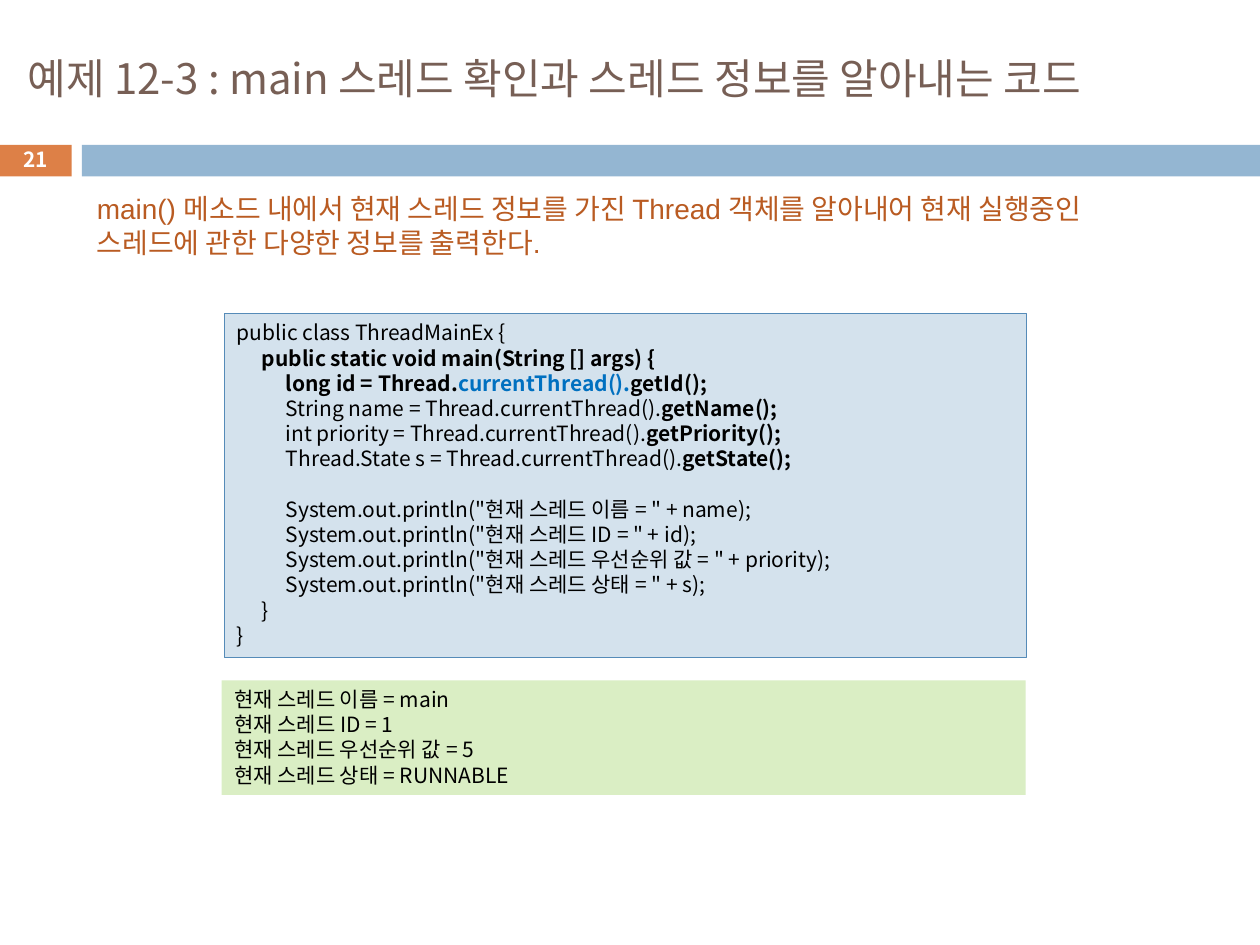
from lxml.etree import SubElement
from pptx import Presentation
from pptx.dml.color import RGBColor
from pptx.enum.shapes import MSO_SHAPE
from pptx.enum.text import MSO_ANCHOR, PP_ALIGN
from pptx.oxml.ns import qn
from pptx.util import Inches, Pt

KOREAN_FONT = "Noto Sans CJK KR"
COLUMNS, ROWS = 100, 75
CELL = Inches(10) // COLUMNS
TAB_STOPS = (0.2, 0.39)

TITLE = "예제 12-3 : main 스레드 확인과 스레드 정보를 알아내는 코드"
DESCRIPTION = ("main() 메소드 내에서 현재 스레드 정보를 가진 Thread 객체를 알아내어 "
               "현재 실행중인 스레드에 관한 다양한 정보를 출력한다.")
BOLD = {"bold": True}
CODE = [
    ["public class ThreadMainEx {"],
    [("\tpublic static void main(String [] args) {", BOLD)],
    [("\t\tlong id = Thread.", BOLD),
     ("currentThread().", {"bold": True, "color": "0070C0"}),
     ("getId();", BOLD)],
    ["\t\tString name = Thread.currentThread().", ("getName();", BOLD)],
    ["\t\tint priority = Thread.currentThread().", ("getPriority();", BOLD)],
    ["\t\tThread.State s = Thread.currentThread().", ("getState();", BOLD)],
    [],
    ['\t\tSystem.out.println("현재 스레드 이름 = " + name);'],
    ['\t\tSystem.out.println("현재 스레드 ID = " + id);'],
    ['\t\tSystem.out.println("현재 스레드 우선순위 값 = " + priority);'],
    ['\t\tSystem.out.println("현재 스레드 상태 = " + s);'],
    ["\t}"],
    ["}"],
]
OUTPUT = [
    ["현재 스레드 이름 = main"],
    ["현재 스레드 ID = 1"],
    ["현재 스레드 우선순위 값 = 5"],
    ["현재 스레드 상태 = RUNNABLE"],
]


def rgb(color):
    """Turn a hex string into a colour."""
    return RGBColor.from_string(color)


def place(box, left, top, width, height):
    """Return the slide position of a part given in grid cells of a box."""
    cells = (box[0] + left, box[1] + top, width, height)
    return [round(cell * CELL) for cell in cells]


def add_panel(slide, position, fill, line=None):
    """Add a flat rectangle."""
    shape = slide.shapes.add_shape(MSO_SHAPE.RECTANGLE, *position)
    shape.shadow.inherit = False
    shape.fill.solid()
    shape.fill.fore_color.rgb = rgb(fill)
    if line:
        shape.line.color.rgb = rgb(line)
        shape.line.width = Pt(0.75)
    else:
        shape.line.fill.background()
    return shape


def add_run(paragraph, text, size=12, color="000000", bold=False, font=KOREAN_FONT):
    """Add one formatted run to a paragraph."""
    run = paragraph.add_run()
    run.text = text
    run.font.size = Pt(size)
    run.font.bold = bold
    run.font.name = font
    run.font.color.rgb = rgb(color)
    east_asian = SubElement(run.font._element, qn("a:ea"))
    east_asian.set("typeface", KOREAN_FONT)


def write(shape, lines, anchor=MSO_ANCHOR.TOP, align=PP_ALIGN.LEFT,
          spacing=None, tabs=(), **style):
    """Fill a shape with lines, each a list of texts or text and style pairs."""
    frame = shape.text_frame
    frame.word_wrap = True
    frame.vertical_anchor = anchor
    for number, line in enumerate(lines):
        paragraph = frame.add_paragraph() if number else frame.paragraphs[0]
        paragraph.alignment = align
        if spacing:
            paragraph.line_spacing = Pt(spacing)
        if tabs:
            tab_list = SubElement(paragraph._p.get_or_add_pPr(), qn("a:tabLst"))
            for stop in tabs:
                tab = SubElement(tab_list, qn("a:tab"))
                tab.set("pos", str(Inches(stop)))
                tab.set("algn", "l")
        for part in line:
            text, changes = (part, {}) if isinstance(part, str) else part
            add_run(paragraph, text, **{**style, **changes})


def add_header(slide, box):
    """Place the title, the divider bar and the page number."""
    title = slide.shapes.add_textbox(*place(box, 1.2, 2.5, 94.7, 7.4))
    write(title, [[TITLE]], anchor=MSO_ANCHOR.MIDDLE, size=24, color="775F55")
    add_panel(slide, place(box, 6.5, 11.5, box[2] - 6.5, 2.5), "94B6D2")
    add_panel(slide, place(box, 0, 11.5, 5.7, 2.5), "DD8047")
    number = slide.shapes.add_textbox(*place(box, 0, 11.3, 5.7, 2.7))
    write(number, [["21"]], anchor=MSO_ANCHOR.MIDDLE, align=PP_ALIGN.CENTER,
          size=11.9, color="FFFFFF", bold=True)


def add_example(slide, box):
    """Place the description, the code and its output."""
    description = slide.shapes.add_textbox(*place(box, 6.7, 0.7, 81.9, 6.4))
    write(description, [[DESCRIPTION]], spacing=19.4, size=16,
          color="B95B22", font="Arial")
    code = add_panel(slide, place(box, 17.8, 10.9, 63.7, 27.3), "D4E2ED", "558BB8")
    write(code, CODE, spacing=14.4, tabs=TAB_STOPS)
    output = add_panel(slide, place(box, 17.6, 40, 63.8, 9.1), "DAEEC4")
    write(output, OUTPUT, spacing=14.4)


def main():
    """Build and save the slide."""
    presentation = Presentation()
    presentation.slide_width = CELL * COLUMNS
    presentation.slide_height = CELL * ROWS
    slide = presentation.slides.add_slide(presentation.slide_layouts[6])
    add_header(slide, (0, 0, COLUMNS, 14))
    add_example(slide, (0, 14, COLUMNS, ROWS - 14))
    presentation.save("out.pptx")


if __name__ == "__main__":
    main()
